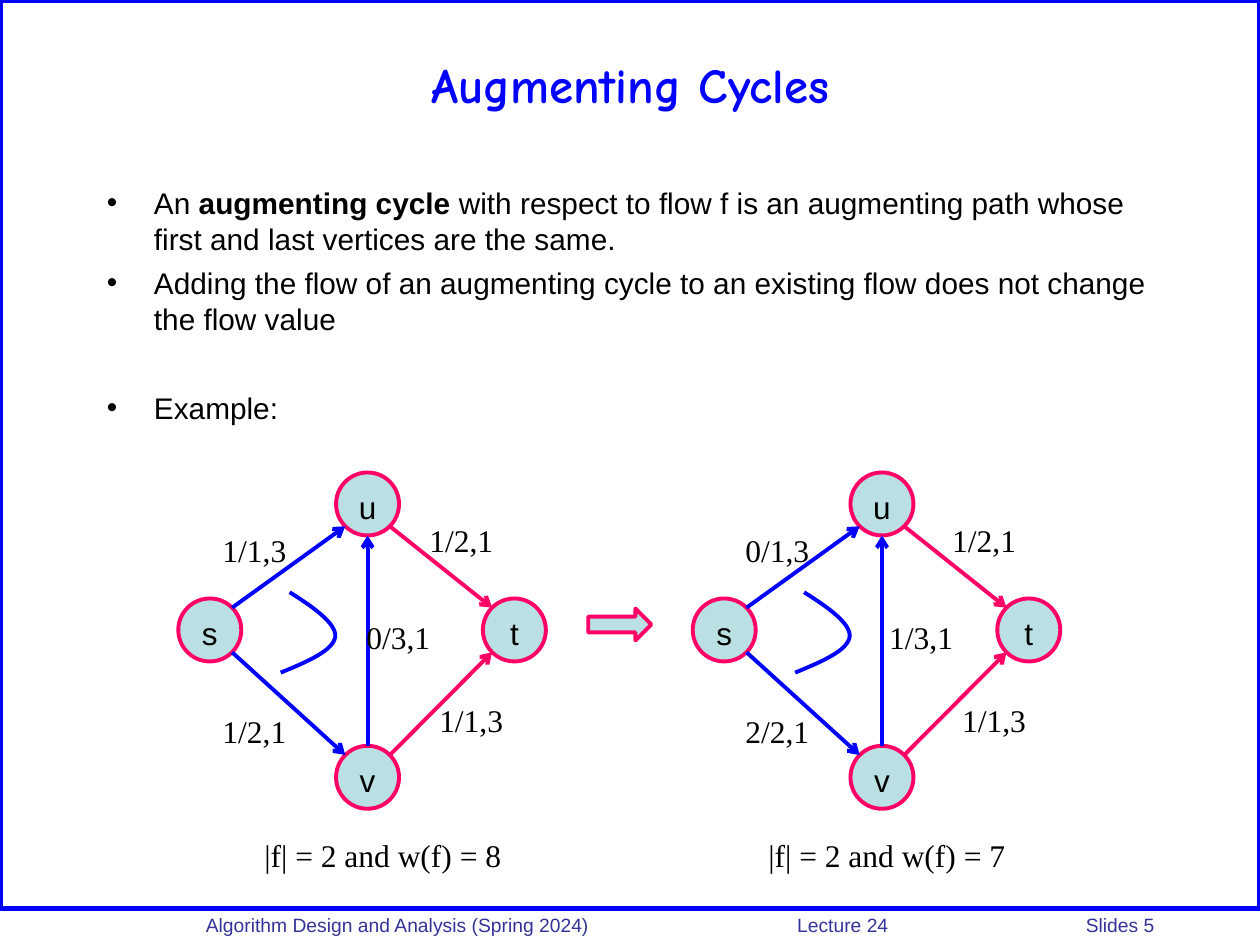
from dataclasses import dataclass
from math import sqrt

from lxml.etree import SubElement
from pptx import Presentation
from pptx.dml.color import RGBColor
from pptx.enum.shapes import MSO_CONNECTOR, MSO_SHAPE
from pptx.enum.text import MSO_ANCHOR, MSO_AUTO_SIZE, PP_ALIGN
from pptx.oxml.ns import qn
from pptx.util import Cm, Pt


@dataclass(frozen=True)
class Theme:
    """Colours, fonts, type sizes and line widths of the slide."""
    blue: str = "0000FF"
    pink: str = "FF0066"
    pale: str = "BBE0E3"
    ink: str = "000000"
    footer: str = "333399"
    sans: str = "Arial"
    serif: str = "Times New Roman"
    display: str = "Comic Neue"
    title_size: float = 28
    body_size: float = 17
    graph_size: float = 18
    footer_size: float = 11
    stroke: float = 2.25
    frame_stroke: float = 3


THEME = Theme()
TITLE_FONT = dict(name=THEME.display, size=Pt(THEME.title_size), bold=True)
BODY_FONT = dict(name=THEME.sans, size=Pt(THEME.body_size))
NODE_FONT = dict(name=THEME.sans, size=Pt(THEME.graph_size))
LABEL_FONT = dict(name=THEME.serif, size=Pt(THEME.graph_size))
FOOTER_FONT = dict(name=THEME.sans, size=Pt(THEME.footer_size))
LABEL_FRAME = dict(word_wrap=False, auto_size=MSO_AUTO_SIZE.SHAPE_TO_FIT_TEXT,
                   margin_left=0, margin_right=0)

DIAMETER = 1.27
GRAPH_SHIFT = 10.37
LABEL_SHIFT = 10.54
NODES = {"u": (7.41, 10.16), "s": (4.23, 12.7), "t": (10.37, 12.7), "v": (7.41, 15.67)}
EDGES = [("s", "u", THEME.blue), ("u", "t", THEME.pink), ("s", "v", THEME.blue),
         ("v", "t", THEME.pink), ("v", "u", THEME.blue)]
LABEL_SPOTS = [(4.24, 10.59), (4.24, 14.22), (8.41, 10.37), (7.14, 12.33), (8.61, 14.01)]
FLOWS_BEFORE = ["1/1,3", "1/2,1", "1/2,1", "0/3,1", "1/1,3"]
FLOWS_AFTER = ["0/1,3", "2/2,1", "1/2,1", "1/3,1", "1/1,3"]
CYCLE_CURVES = [
    [(5.66, 13.56), (6.2, 13.34), (6.73, 13.11), (6.76, 12.83)],
    [(6.76, 12.83), (6.78, 12.57), (6.32, 12.24), (5.84, 11.94)],
]
BULLETS = [
    (0, [("An ", False), ("augmenting cycle", True),
         (" with respect to flow f is an augmenting path whose first and last vertices are the same.", False)]),
    (4.5, [("Adding the flow of an augmenting cycle to an existing flow does not change the flow value", False)]),
    (30, [("Example:", False)]),
]


def apply(target, values):
    """Set every attribute in a dict of format values."""
    for attribute, value in values.items():
        setattr(target, attribute, value)


def place(box, left, top, width, height):
    """Move and size a box given in centimetres."""
    apply(box, dict(left=Cm(left), top=Cm(top), width=Cm(width), height=Cm(height)))


def add_run(paragraph, text, font, color=THEME.ink):
    """Append formatted text to a paragraph."""
    run = paragraph.add_run()
    run.text = text
    apply(run.font, font)
    run.font.color.rgb = RGBColor.from_string(color)


def set_stroke(outlined, color, width=THEME.stroke):
    """Give a shape or connector a solid line."""
    outlined.line.color.rgb = RGBColor.from_string(color)
    outlined.line.width = Pt(width)


def set_fill(shape, color=None):
    """Fill a shape, or leave it open, and drop its shadow."""
    shape.shadow.inherit = False
    if color:
        shape.fill.solid()
        shape.fill.fore_color.rgb = RGBColor.from_string(color)
    else:
        shape.fill.background()


def add_outline(slide, preset, box, stroke, fill=None, width=THEME.stroke):
    """Add a preset shape with a line and an optional fill."""
    shape = slide.shapes.add_shape(preset, *map(Cm, box))
    set_fill(shape, fill)
    set_stroke(shape, stroke, width)
    return shape


def add_text(slide, box, text, font, color=THEME.ink, align=PP_ALIGN.LEFT, tabs=(), **frame):
    """Add a one-paragraph text box with optional tab stops."""
    text_frame = slide.shapes.add_textbox(*map(Cm, box)).text_frame
    apply(text_frame, dict(word_wrap=True) | frame)
    paragraph = text_frame.paragraphs[0]
    paragraph.alignment = align
    if tabs:
        stops = SubElement(paragraph._p.get_or_add_pPr(), qn("a:tabLst"))
        for position in tabs:
            SubElement(stops, qn("a:tab"), pos=str(Cm(position)), algn="l")
    add_run(paragraph, text, font, color)


def add_title(slide, text):
    """Fill the title placeholder."""
    title = slide.shapes.title
    place(title, 1.27, 0.43, 22.86, 2.54)
    title.text_frame.vertical_anchor = MSO_ANCHOR.MIDDLE
    paragraph = title.text_frame.paragraphs[0]
    paragraph.alignment = PP_ALIGN.CENTER
    add_run(paragraph, text, TITLE_FONT, THEME.blue)


def add_bullets(slide, bullets):
    """Fill the body placeholder with a bulleted list."""
    body = slide.placeholders[1]
    place(body, 1.9, 3.59, 21.6, 5.08)
    apply(body.text_frame, dict(auto_size=MSO_AUTO_SIZE.NONE, vertical_anchor=MSO_ANCHOR.TOP))
    for index, (gap, parts) in enumerate(bullets):
        paragraph = body.text_frame.add_paragraph() if index else body.text_frame.paragraphs[0]
        properties = paragraph._p.get_or_add_pPr()
        properties.set("marL", str(Cm(0.95)))
        properties.set("indent", str(Cm(-0.95)))
        SubElement(SubElement(properties, qn("a:buClr")), qn("a:srgbClr"), val=THEME.ink)
        SubElement(properties, qn("a:buChar"), char="•")
        apply(paragraph, dict(space_before=Pt(gap), line_spacing=Pt(20.6)))
        for text, bold in parts:
            add_run(paragraph, text, BODY_FONT | dict(bold=bold))


def add_node(slide, name, x, y):
    """Add a round vertex centred on a point."""
    radius = DIAMETER / 2
    node = add_outline(slide, MSO_SHAPE.OVAL, (x - radius, y - radius, DIAMETER, DIAMETER),
                       THEME.pink, THEME.pale)
    node.text_frame.vertical_anchor = MSO_ANCHOR.TOP
    paragraph = node.text_frame.paragraphs[0]
    paragraph.alignment = PP_ALIGN.CENTER
    add_run(paragraph, name, NODE_FONT)


def add_edge(slide, start, end, color):
    """Add an arrow between the rims of two vertices."""
    (x1, y1), (x2, y2) = start, end
    reach = DIAMETER / 2 / (1 if x1 == x2 else sqrt(2))
    dx = 0 if x1 == x2 else reach
    dy = reach if y2 > y1 else -reach
    edge = slide.shapes.add_connector(MSO_CONNECTOR.STRAIGHT,
                                      *map(Cm, (x1 + dx, y1 + dy, x2 - dx, y2 - dy)))
    set_stroke(edge, color)
    SubElement(edge.line._get_or_add_ln(), qn("a:tailEnd"), type="arrow")
    SubElement(edge._element.spPr, qn("a:effectLst"))


def bezier(points, t):
    """Return the point at t on a cubic curve."""
    weights = ((1 - t) ** 3, 3 * t * (1 - t) ** 2, 3 * t ** 2 * (1 - t), t ** 3)
    return tuple(sum(w * p[axis] for w, p in zip(weights, points)) for axis in (0, 1))


def add_cycle_curve(slide, shift, steps=16):
    """Add the open curve that marks the augmenting cycle."""
    route = [bezier(curve, step / steps) for curve in CYCLE_CURVES for step in range(steps + 1)]
    first, *rest = [(Cm(x + shift), Cm(y)) for x, y in route]
    builder = slide.shapes.build_freeform(*first)
    builder.add_line_segments(rest, close=False)
    curve = builder.convert_to_shape()
    set_fill(curve)
    set_stroke(curve, THEME.blue)


def add_graph(slide, flows, shift=0, label_shift=0):
    """Add a flow network with its edge labels."""
    centres = {name: (x + shift, y) for name, (x, y) in NODES.items()}
    for name, centre in centres.items():
        add_node(slide, name, *centre)
    for tail, head, color in EDGES:
        add_edge(slide, centres[tail], centres[head], color)
    add_cycle_curve(slide, shift)
    for flow, (left, top) in zip(flows, LABEL_SPOTS):
        add_text(slide, (left + label_shift, top, 1.78, 1.02), flow, LABEL_FONT,
                 align=PP_ALIGN.CENTER, **LABEL_FRAME)


def main():
    """Build and save the slide."""
    deck = Presentation()
    apply(deck, dict(slide_width=Cm(25.4), slide_height=Cm(19.05)))
    slide = deck.slides.add_slide(deck.slide_layouts[1])
    add_outline(slide, MSO_SHAPE.RECTANGLE, (0, 0, 25.4, 18.31), THEME.blue, width=THEME.frame_stroke)
    add_text(slide, (3.38, 18.29, 22.02, 0.66),
             "Algorithm Design and Analysis (Spring 2024)\tLecture 24\tSlides 5",
             FOOTER_FONT, THEME.footer, tabs=(11.92, 17.74), margin_left=Cm(0.77))
    add_title(slide, "Augmenting Cycles")
    add_bullets(slide, BULLETS)
    add_graph(slide, FLOWS_BEFORE)
    add_graph(slide, FLOWS_AFTER, GRAPH_SHIFT, LABEL_SHIFT)
    add_outline(slide, MSO_SHAPE.RIGHT_ARROW, (11.86, 12.27, 1.27, 0.64), THEME.pink, THEME.pale)
    add_text(slide, (5.08, 16.72, 16.51, 1.02), "|f| = 2 and w(f) = 8\t|f| = 2 and w(f) = 7",
             LABEL_FONT, tabs=(10.16,))
    deck.save("out.pptx")


if __name__ == "__main__":
    main()
